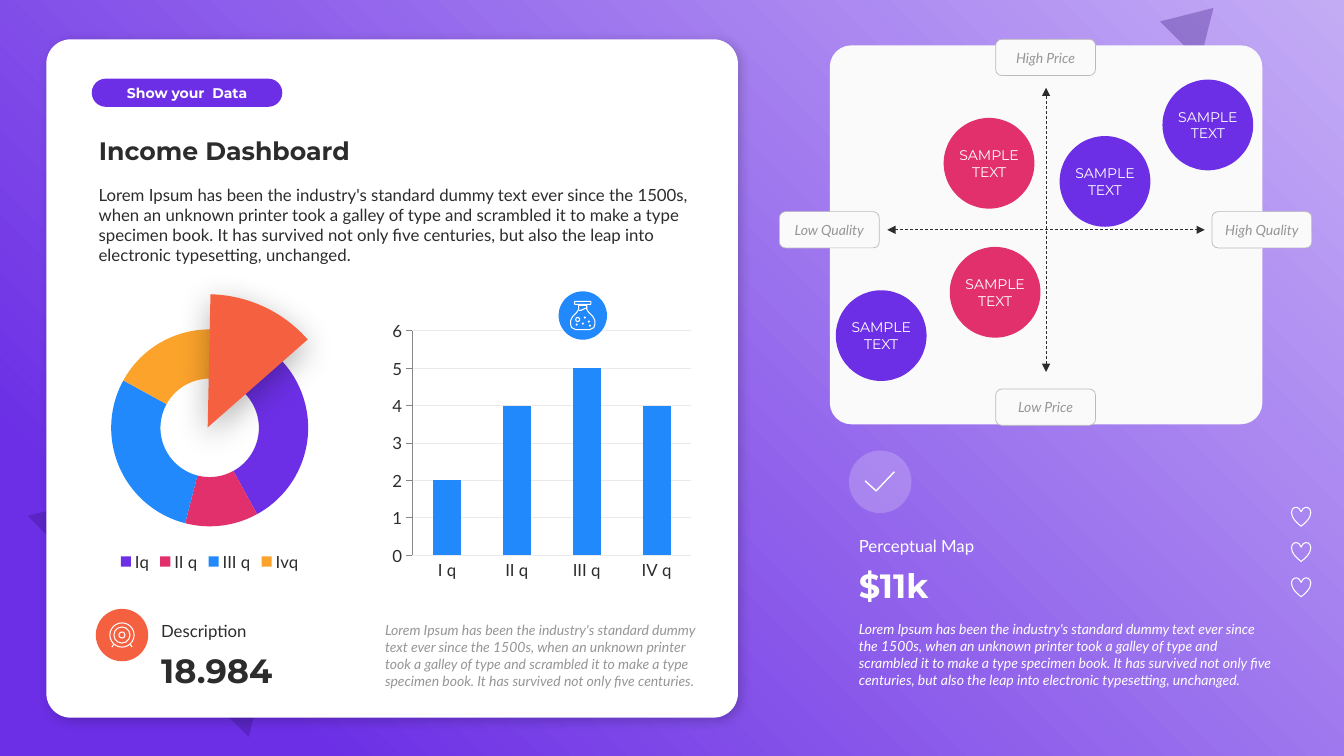
from dataclasses import dataclass
from lxml.etree import SubElement
from pptx import Presentation
from pptx.chart.data import CategoryChartData as Data
from pptx.dml.color import RGBColor as RGB
from pptx.enum.chart import XL_CHART_TYPE as Chart, XL_LEGEND_POSITION as Legend, XL_TICK_MARK as Tick
from pptx.enum.dml import MSO_LINE as Dash
from pptx.enum.shapes import MSO_CONNECTOR as Link, MSO_SHAPE as Kind
from pptx.enum.text import MSO_ANCHOR as Anchor, MSO_AUTO_SIZE as Auto, PP_ALIGN as Align
from pptx.oxml.ns import qn
from pptx.util import Inches, Pt


@dataclass(frozen=True)
class Theme:
    """Colours, fonts and type sizes of the slide."""
    violet: str = "6C2FE5"
    lilac: str = "C4ACF5"
    night: str = "330F7B"
    pink: str = "E1306C"
    blue: str = "2189FB"
    amber: str = "FCA32C"
    coral: str = "F56040"
    ink: str = "2C2C2C"
    grey: str = "969696"
    edge: str = "BBBBBB"
    grid: str = "EAEAEA"
    pale: str = "FAFAFA"
    white: str = "FFFFFF"
    head: str = "Montserrat"
    body: str = "Lato"
    small: int = 10
    text: int = 12
    title: int = 18
    big: int = 24


T = Theme()
LOREM = ("Lorem Ipsum has been the industry's standard dummy text ever since the 1500s, "
         "when an unknown printer took a galley of type and scrambled it to make a type "
         "specimen book. It has survived not only five centuries")
LEAP = ", but also the leap into electronic typesetting, unchanged."


def rgb(code):
    """Turn a hex code into a colour."""
    return RGB.from_string(code)


def inch(*vals):
    """Turn numbers into lengths."""
    return [Inches(v) for v in vals]


def shape(slide, kind, box, fill=None, line=None, pt=0.75, alpha=None, adj=(), turn=0):
    """Add a preset shape with plain fill and line."""
    item = slide.shapes.add_shape(kind, *inch(*box))
    item.rotation = turn
    for i, val in enumerate(adj):
        item.adjustments[i] = val
    paint(item, fill, line, pt)
    if alpha:
        tint = item._element.spPr.find(".//" + qn("a:srgbClr"))
        SubElement(tint, qn("a:alpha"), val=str(alpha * 1000))
    return item


def paint(item, fill, line, pt):
    """Set fill and line, and drop the shadow."""
    item.shadow.inherit = False
    if fill:
        item.fill.solid()
        item.fill.fore_color.rgb = rgb(fill)
    else:
        item.fill.background()
    if line:
        item.line.color.rgb = rgb(line)
        item.line.width = Pt(pt)
    else:
        item.line.fill.background()


def shade(item, alpha, blur, dist, angle):
    """Give a shape a soft black shadow."""
    effects = item._element.spPr.find(qn("a:effectLst"))
    cast = SubElement(effects, qn("a:outerShdw"), blurRad=str(Pt(blur)), dist=str(Pt(dist)),
                      dir=str(angle * 60000), algn="ctr", rotWithShape="0")
    tint = SubElement(cast, qn("a:srgbClr"), val="000000")
    SubElement(tint, qn("a:alpha"), val=str(alpha * 1000))


def write(item, text, size, color, font=T.body, bold=False, italic=False,
          align=Align.CENTER, anchor=Anchor.MIDDLE):
    """Put one formatted paragraph into a shape."""
    frame = item.text_frame
    frame.text = text
    frame.word_wrap = True
    frame.vertical_anchor = anchor
    para = frame.paragraphs[0]
    para.alignment = align
    face = para.runs[0].font
    face.name, face.size, face.bold, face.italic = font, Pt(size), bold, italic
    face.color.rgb = rgb(color)
    return frame


def label(slide, box, text, size, color, anchor=Anchor.TOP, **style):
    """Add a left-aligned text box."""
    item = slide.shapes.add_textbox(*inch(*box))
    frame = write(item, text, size, color, align=Align.LEFT, anchor=anchor, **style)
    frame.auto_size = Auto.SHAPE_TO_FIT_TEXT


def stat(slide, x, y, w, name, value, color):
    """Add a caption above a large figure."""
    label(slide, (x, y + 0.29, w, 0.5), value, T.big, color, Anchor.BOTTOM, font=T.head, bold=True)
    label(slide, (x, y, w, 0.3), name, T.text, color, Anchor.BOTTOM)


def ring(slide, cx, cy, r, fill=None, line=T.white, alpha=None):
    """Add a circle about a centre."""
    return shape(slide, Kind.OVAL, (cx - r, cy - r, 2 * r, 2 * r), fill, line, alpha=alpha)


def stroke(slide, cx, cy, points, close=False, pt=0.75):
    """Draw a white outline through points about a centre."""
    spots = [tuple(inch(cx + x, cy + y)) for x, y in points]
    pen = slide.shapes.build_freeform(*spots[0])
    pen.add_line_segments(spots[1:], close=close)
    paint(pen.convert_to_shape(), None, T.white, pt)


def target(slide, cx, cy):
    """Draw the target badge."""
    ring(slide, cx, cy, 0.26, T.coral, None)
    for r in (0.12, 0.08, 0.03):
        ring(slide, cx, cy, r)
    for side in (-1, 1):
        stroke(slide, cx, cy, [(side * 0.08, 0.09), (side * 0.1, 0.12)])


def flask(slide, cx, cy):
    """Draw the flask badge."""
    ring(slide, cx, cy, 0.24, T.blue, None)
    shape(slide, Kind.ROUNDED_RECTANGLE, (cx - 0.08, cy - 0.14, 0.16, 0.03), None, T.white)
    half = [(0.04, -0.1), (0.04, -0.06), (0.06, -0.03), (0.1, 0.01), (0.12, 0.05),
            (0.12, 0.09), (0.11, 0.12), (0.09, 0.13), (0.07, 0.14)]
    stroke(slide, cx, cy, half + [(-x, y) for x, y in reversed(half)], True)
    stroke(slide, cx, cy, [(-0.04, -0.05), (-0.02, -0.05), (0.02, -0.07), (0.04, -0.07)])
    ring(slide, cx - 0.05, cy + 0.04, 0.02)
    for x, y in ((0.02, 0.02), (0, 0.08), (0.06, 0.06), (-0.06, 0.09), (0.07, 0.1)):
        ring(slide, cx + x, cy + y, 0.01, T.white, None)


def backdrop(slide, w, h):
    """Fill the slide with the gradient and its triangles."""
    base = shape(slide, Kind.RECTANGLE, (0, 0, w, h))
    base.fill.gradient()
    for stop, code, at in zip(base.fill.gradient_stops, (T.lilac, T.violet), (0, 0.85)):
        stop.color.rgb, stop.position = rgb(code), at
    grad = base._element.spPr.find(qn("a:gradFill"))
    grad.remove(grad.find(qn("a:lin")))
    way = SubElement(grad, qn("a:path"), path="circle")
    SubElement(way, qn("a:fillToRect"), l="100000", b="100000")
    for box in ((0.73, 4.02, 3.1, 2.57), (11.59, 0.01, 0.56, 0.47)):
        shape(slide, Kind.ISOSCELES_TRIANGLE, box, T.night, alpha=30, turn=45)


def graph(slide, kind, box, names, vals, size):
    """Add a one-series chart in the theme's type."""
    data = Data()
    data.categories = names
    data.add_series("Series 1", vals)
    chart = slide.shapes.add_chart(kind, *inch(*box), data).chart
    chart.has_title = False
    chart.has_legend = False
    chart.font.name, chart.font.size = T.body, Pt(size)
    chart.font.color.rgb = rgb(T.ink)
    return chart


def donut(slide, x, y, w, h):
    """Add the doughnut chart and its raised slice."""
    chart = graph(slide, Chart.DOUGHNUT, (x, y, w, h), ("Iq", "II q", "III q", "Ivq"),
                  (42, 12, 29, 17), T.small)
    chart.has_legend = True
    key = chart.legend
    key.position, key.include_in_layout = Legend.BOTTOM, False
    key.font.name, key.font.size = T.body, Pt(T.text)
    key.font.color.rgb = rgb(T.ink)
    plot = chart.plots[0]
    plot.has_data_labels = False
    for i, code in enumerate((T.violet, T.pink, T.blue, T.amber)):
        fill = plot.series[0].points[i].format.fill
        fill.solid()
        fill.fore_color.rgb = rgb(code)
    slice_ = shape(slide, Kind.ARC, (x + 0.08, y - 0.21, 2.64, 2.64), T.coral, adj=(162.72, 191.22))
    shade(slice_, 30, 23, 6, 90)


def bars(slide, x, y, w, h):
    """Add the quarterly column chart and its badge."""
    chart = graph(slide, Chart.COLUMN_CLUSTERED, (x, y, w, h), ("I q", "II q", "III q", "IV q"),
                  (2, 4, 5, 4), T.text)
    plot = chart.plots[0]
    plot.gap_width, plot.vary_by_categories = 150, False
    fill = plot.series[0].format.fill
    fill.solid()
    fill.fore_color.rgb = rgb(T.blue)
    cat, val = chart.category_axis, chart.value_axis
    cat.major_tick_mark = Tick.NONE
    cat.format.line.fill.background()
    val.minimum_scale, val.maximum_scale, val.major_unit = 0, 6, 1
    val.major_tick_mark = Tick.OUTSIDE
    line = val.major_gridlines.format.line
    line.color.rgb, line.width = rgb(T.grid), Pt(0.75)
    flask(slide, x + 1.95, y)


def card(slide, x, y, w, h):
    """Build the white income card."""
    panel = shape(slide, Kind.ROUNDED_RECTANGLE, (x, y, w, h), T.white, adj=(0.036,))
    shade(panel, 20, 8, 3, 45)
    label(slide, (x + 0.42, y + 1.39, 6.16, 0.91), LOREM + LEAP, T.text, T.ink)
    title = slide.shapes.title
    title.left, title.top, title.width, title.height = inch(x + 0.42, y + 0.9, 6.16, 0.4)
    frame = write(title, "Income Dashboard", T.title, T.ink, T.head, True,
                  align=Align.LEFT, anchor=Anchor.BOTTOM)
    frame.auto_size = Auto.SHAPE_TO_FIT_TEXT
    panel._element.addnext(title._element)
    pill = shape(slide, Kind.ROUNDED_RECTANGLE, (x + 0.45, y + 0.39, 1.89, 0.28), T.violet, adj=(0.5,))
    write(pill, "Show your  Data", T.small, T.white, T.head, True)
    donut(slide, x + 0.2, y + 2.74, 2.84, 2.58)
    stat(slide, x + 1.04, y + 5.72, 1.86, "Description", "18.984", T.ink)
    target(slide, x + 0.75, y + 5.91)
    bars(slide, x + 3.37, y + 2.74, 3.09, 2.67)
    label(slide, (x + 3.26, y + 5.73, 3.32, 0.77), LOREM + ".", T.small, T.grey, italic=True)


def arrow(slide, *ends):
    """Add a dashed line with a head at both ends."""
    link = slide.shapes.add_connector(Link.STRAIGHT, *inch(*ends))
    link.line.color.rgb, link.line.width = rgb(T.ink), Pt(0.5)
    link.line.dash_style = Dash.DASH
    for end in ("a:headEnd", "a:tailEnd"):
        SubElement(link.line._get_or_add_ln(), qn(end), type="triangle")
    SubElement(link._element.spPr, qn("a:effectLst"))


def chart_map(slide, x, y, w, h):
    """Build the price and quality map."""
    shape(slide, Kind.ROUNDED_RECTANGLE, (x, y, w, h), T.pale, adj=(0.057,))
    mid, level = x + w / 2, y + 1.83
    arrow(slide, x + 0.57, level, x + 3.72, level)
    arrow(slide, mid, y + 3.24, mid, y + 0.42)
    for name, cx, cy in (("High Price", mid, y + 0.12), ("Low Price", mid, y + 3.59),
                         ("Low Quality", x, level), ("High Quality", x + w, level)):
        tag = shape(slide, Kind.ROUNDED_RECTANGLE, (cx - 0.5, cy - 0.18, 0.99, 0.36), T.pale, T.edge, 0.5)
        write(tag, name, T.small, T.grey, italic=True)
    for dx, dy, code in ((1.58, 1.17, T.pink), (1.64, 2.45, T.pink), (0.51, 2.88, T.violet),
                         (2.73, 1.35, T.violet), (3.75, 0.79, T.violet)):
        dot = ring(slide, x + dx, y + dy, 0.45, code, None)
        frame = write(dot, "SAMPLE TEXT", T.small, T.white, T.head)
        frame.margin_left = frame.margin_right = 0


def summary(slide, x, y, w):
    """Build the map's summary with its check and hearts."""
    stat(slide, x, y + 0.79, w, "Perceptual Map", "$11k", T.white)
    label(slide, (x, y + 1.64, w, 0.77), LOREM + LEAP, T.small, T.white, italic=True)
    ring(slide, x + 0.31, y + 0.31, 0.31, T.white, None, 20)
    stroke(slide, x + 0.31, y + 0.31, [(-0.15, -0.01), (-0.04, 0.09), (0.14, -0.1)], pt=1)
    for i in range(3):
        shape(slide, Kind.HEART, (x + 4.39, y + 0.56 + i * 0.35, 0.19, 0.19), None, T.white)


def main():
    """Build and save the slide."""
    deck = Presentation()
    deck.slide_width, deck.slide_height = inch(13.33, 7.5)
    slide = deck.slides.add_slide(deck.slide_layouts[5])
    backdrop(slide, 13.33, 7.5)
    card(slide, 0.46, 0.39, 6.86, 6.73)
    chart_map(slide, 8.23, 0.45, 4.29, 3.76)
    summary(slide, 8.42, 4.47, 4.34)
    deck.save("out.pptx")


if __name__ == "__main__":
    main()
